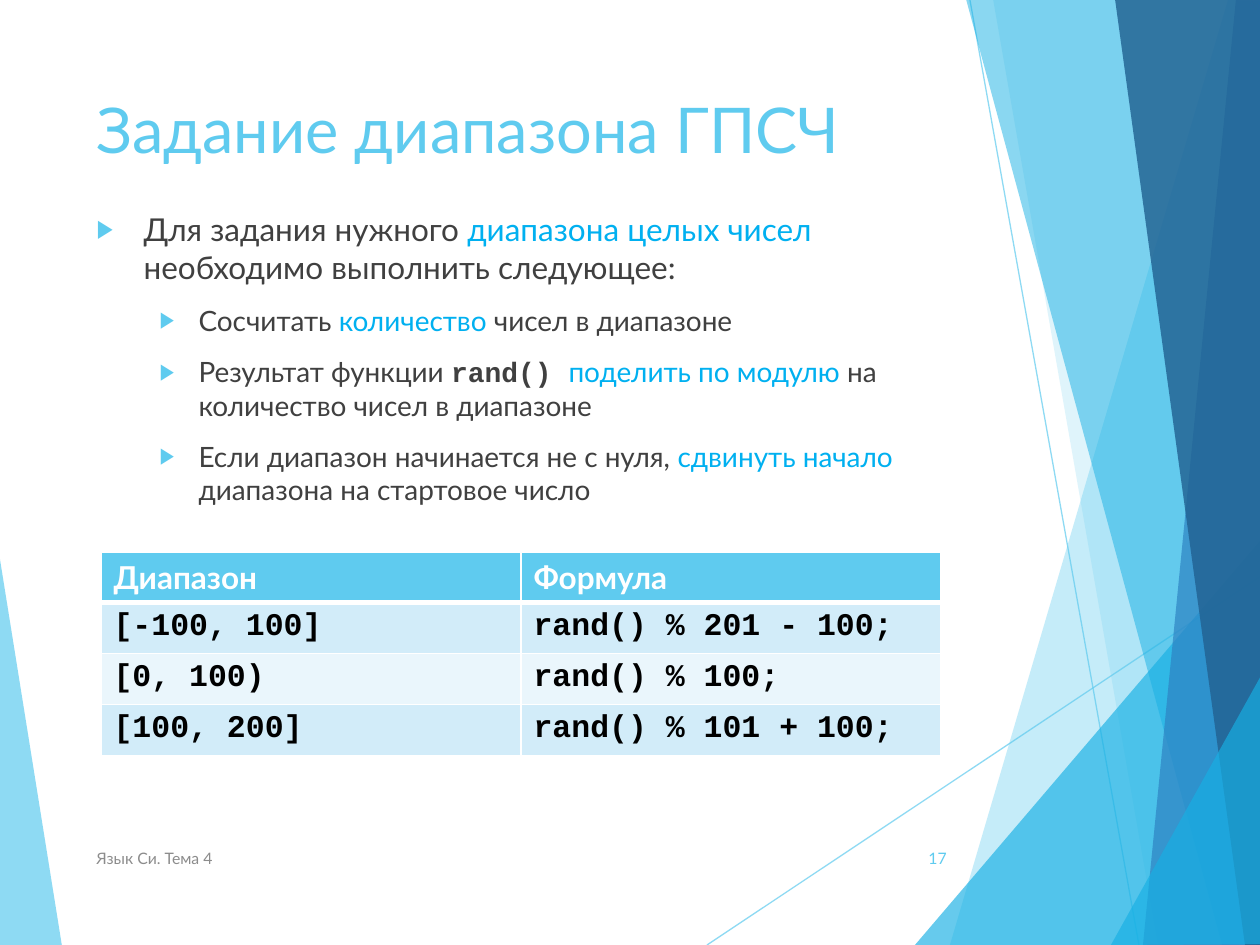
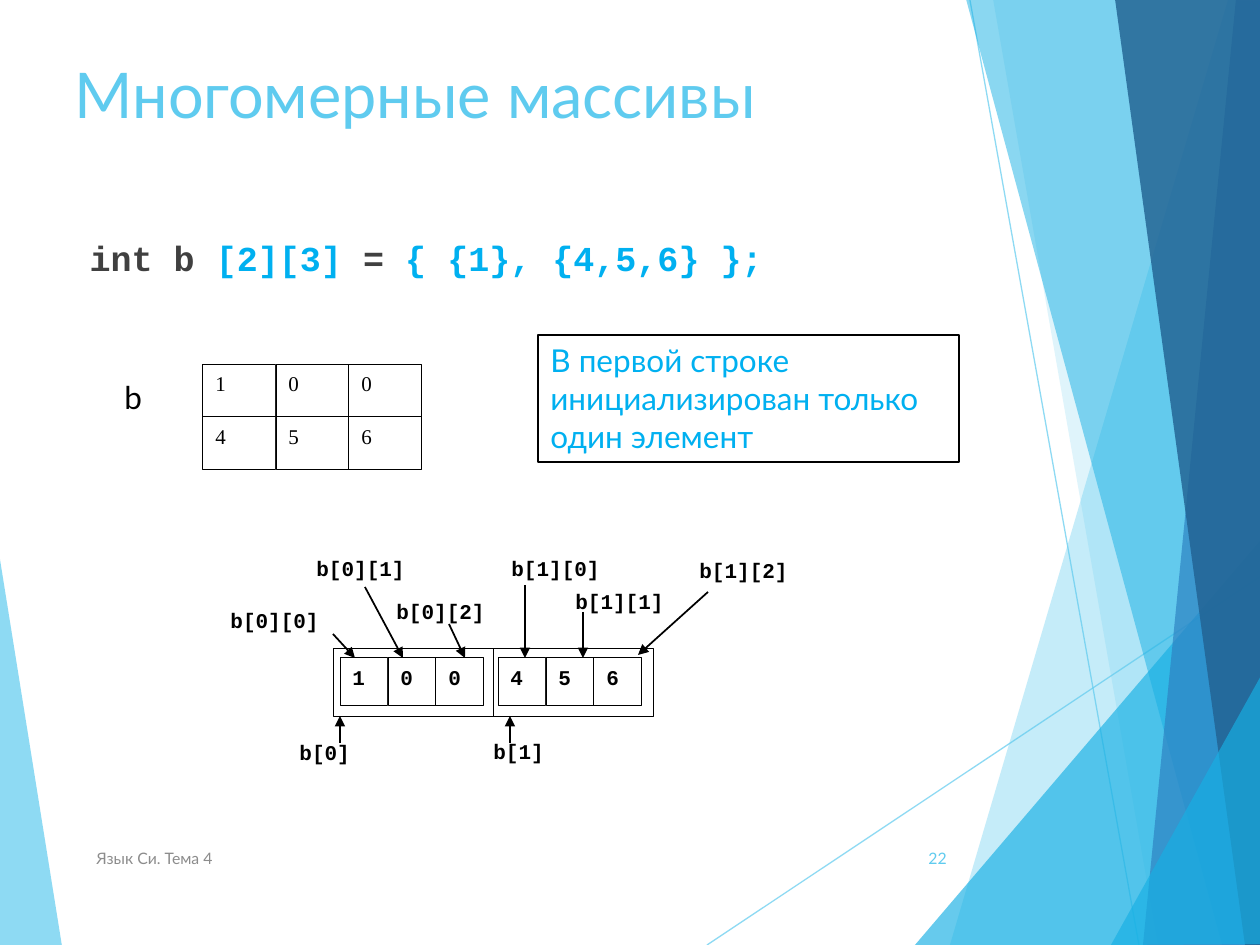
"""Build two C lecture slides: random number ranges and multidimensional arrays."""
import dataclasses

import lxml.etree
import pptx
import pptx.dml.color
import pptx.enum.shapes
import pptx.enum.text
import pptx.oxml.ns
import pptx.util

qn = pptx.oxml.ns.qn
ANCHOR = pptx.enum.text.MSO_ANCHOR
ALIGN = pptx.enum.text.PP_ALIGN
RECTANGLE = pptx.enum.shapes.MSO_SHAPE.RECTANGLE
STRAIGHT = pptx.enum.shapes.MSO_CONNECTOR.STRAIGHT
EMU_PER_PIXEL = 914400 / 126


@dataclasses.dataclass(frozen=True)
class Theme:
    """Colours, fonts and type sizes of the lecture."""
    sky: str = "5FCBEF"
    azure: str = "17B0E4"
    blue: str = "2E83C3"
    navy: str = "226292"
    accent: str = "00B0F0"
    body: str = "404040"
    muted: str = "8C8C8C"
    black: str = "000000"
    white: str = "FFFFFF"
    band_dark: str = "D2ECF9"
    band_light: str = "EAF6FC"
    sans: str = "Lato"
    code: str = "Courier New"
    serif: str = "Times New Roman"
    title_size: int = 36
    code_size: int = 20
    text_size: int = 18
    sub_size: int = 16
    label_size: int = 12
    footer_size: int = 9


THEME = Theme()
FOOTER = "Язык Си. Тема 4"
FACETS = [
    (THEME.sky, 70, [(-1, 553), (62, 946), (-1, 945)]),
    (THEME.sky, 36, [(1228, 0), (950, 945), (1262, 946), (1261, 1)]),
    (THEME.sky, 20, [(993, -1), (1158, 945), (1261, 945), (1261, -1)]),
    (THEME.azure, 66, [(915, 945), (1260, 541), (1261, 945)]),
    (THEME.azure, 50, [(966, -1), (1222, 945), (1261, 944), (1261, -1)]),
    (THEME.blue, 70, [(1236, -1), (1143, 945), (1261, 945), (1260, -1)]),
    (THEME.navy, 82, [(1115, -1), (1245, 945), (1262, 945), (1260, -1)]),
    (THEME.azure, 66, [(1111, 945), (1262, 674), (1262, 944)]),
]
RAYS = [(707, 945, 1261, 576), (970, 0, 1139, 945)]


def px(*lengths):
    """Turn picture pixels into EMU."""
    return [pptx.util.Emu(round(length * EMU_PER_PIXEL)) for length in lengths]


def rgb(code):
    """Turn a hex code into a colour."""
    return pptx.dml.color.RGBColor.from_string(code)


def apply(target, **values):
    """Set each format value on the target."""
    for name, value in values.items():
        setattr(target, name, value)


def style(size, color=THEME.body, name=THEME.sans, bold=False):
    """Describe the look of a run."""
    return {"size": pptx.util.Pt(size), "name": name, "bold": bold}, color


LABEL = style(THEME.label_size, THEME.black, THEME.code, True)


def write(paragraph, runs):
    """Add styled runs to a paragraph."""
    for text, (font_format, color) in runs:
        run = paragraph.add_run()
        run.text = text
        apply(run.font, **font_format)
        run.font.color.rgb = rgb(color)


def place(shape, box):
    """Move a placeholder to a pixel box and anchor its text at the top."""
    apply(shape, **dict(zip(("left", "top", "width", "height"), px(*box))))
    apply(shape.text_frame, word_wrap=True, vertical_anchor=ANCHOR.TOP,
          auto_size=pptx.enum.text.MSO_AUTO_SIZE.NONE)


def set_indent(paragraph, left, hanging, bullet=None):
    """Set the indents and the bullet of a paragraph."""
    properties = paragraph._p.get_or_add_pPr()
    margin, indent = px(left, -hanging)
    properties.set("marL", str(margin))
    properties.set("indent", str(indent))
    if bullet is None:
        lxml.etree.SubElement(properties, qn("a:buNone"))
        return
    color = lxml.etree.SubElement(properties, qn("a:buClr"))
    lxml.etree.SubElement(color, qn("a:srgbClr"), val=THEME.sky)
    lxml.etree.SubElement(properties, qn("a:buSzPct"), val="80000")
    lxml.etree.SubElement(properties, qn("a:buChar"), char=bullet)


def add_text(slide, box, text, look, anchor=ANCHOR.TOP, align=ALIGN.LEFT):
    """Add a text box with one paragraph."""
    label = slide.shapes.add_textbox(*px(*box))
    apply(label.text_frame, word_wrap=True, vertical_anchor=anchor)
    paragraph = label.text_frame.paragraphs[0]
    paragraph.alignment = align
    write(paragraph, [(text, look)])


def add_box(slide, box, line_width, fill=None, text=None, look=LABEL):
    """Add an outlined rectangle with optional fill and text."""
    cell = slide.shapes.add_shape(RECTANGLE, *px(*box))
    cell.shadow.inherit = False
    cell.line.color.rgb = rgb(THEME.black)
    cell.line.width = pptx.util.Pt(line_width)
    if fill:
        cell.fill.solid()
        cell.fill.fore_color.rgb = rgb(fill)
    else:
        cell.fill.background()
    if text:
        apply(cell.text_frame, word_wrap=True, vertical_anchor=ANCHOR.TOP)
        paragraph = cell.text_frame.paragraphs[0]
        paragraph.alignment = ALIGN.LEFT
        write(paragraph, [(text, look)])


def add_line(slide, ends, color, width, arrow=False):
    """Add a straight line, with an arrowhead at its end if asked."""
    line = slide.shapes.add_connector(STRAIGHT, *px(*ends))
    line.line.color.rgb = rgb(color)
    line.line.width = pptx.util.Pt(width)
    if arrow:
        outline = line.element.find(".//" + qn("a:ln"))
        lxml.etree.SubElement(outline, qn("a:tailEnd"), type="triangle")
    lxml.etree.SubElement(line.element.spPr, qn("a:effectLst"))
    return line


def add_facet(slide, color, points):
    """Add a filled polygon without outline."""
    builder = slide.shapes.build_freeform(*points[0], scale=EMU_PER_PIXEL)
    builder.add_line_segments(points[1:], close=True)
    facet = builder.convert_to_shape()
    facet.shadow.inherit = False
    facet.fill.solid()
    facet.fill.fore_color.rgb = rgb(color)
    facet.line.fill.background()
    return facet


def set_opacity(shape, percent):
    """Make the colours of a shape partly transparent."""
    for color in shape.element.iter(qn("a:srgbClr")):
        lxml.etree.SubElement(color, qn("a:alpha"), val=str(percent * 1000))


def decorate_layout(slide):
    """Draw the facets and rays once, and hand them to the slide's layout."""
    rays = [(add_line(slide, ends, THEME.sky, 0.75), 70) for ends in RAYS]
    facets = [(add_facet(slide, color, points), opacity)
              for color, opacity, points in FACETS]
    layout_tree = slide.slide_layout.shapes.element
    for number, (shape, opacity) in enumerate(facets[:1] + rays + facets[1:], 100):
        set_opacity(shape, opacity)
        shape.element.find(".//" + qn("p:cNvPr")).set("id", str(number))
        layout_tree.append(shape.element)


def add_page(deck, title, title_box, number):
    """Add a slide with its title, footer and number."""
    slide = deck.slides.add_slide(deck.slide_layouts[1])
    heading = slide.shapes.title
    place(heading, title_box)
    paragraph = heading.text_frame.paragraphs[0]
    paragraph.alignment = ALIGN.LEFT
    write(paragraph, [(title, style(THEME.title_size, THEME.sky))])
    add_text(slide, (84, 833, 638, 50), FOOTER,
             style(THEME.footer_size, THEME.muted), ANCHOR.MIDDLE)
    add_text(slide, (888, 833, 71, 50), str(number),
             style(THEME.footer_size, THEME.sky), ANCHOR.MIDDLE, ALIGN.RIGHT)
    return slide


def add_steps(slide, box, steps):
    """Fill the body with a lead item and its sub-items."""
    body = slide.placeholders[1]
    place(body, box)
    frame = body.text_frame
    for index, runs in enumerate(steps):
        paragraph = frame.add_paragraph() if index else frame.paragraphs[0]
        apply(paragraph, level=min(index, 1), space_before=pptx.util.Pt(10))
        set_indent(paragraph, *((102, 39) if index else (47, 47)), bullet="▶")
        write(paragraph, runs)


def set_borders(cell, row):
    """Give a cell white borders, heavy below the header."""
    properties = cell._tc.get_or_add_tcPr()
    widths = {"L": 1, "R": 1, "T": 3 if row == 1 else 1, "B": 1 if row else 3}
    for side, width in widths.items():
        edge = lxml.etree.SubElement(properties, qn("a:ln" + side),
                                     w=str(pptx.util.Pt(width)))
        paint = lxml.etree.SubElement(edge, qn("a:solidFill"))
        lxml.etree.SubElement(paint, qn("a:srgbClr"), val=THEME.white)


def add_formulas(slide, box, rows):
    """Add the table of ranges and formulas."""
    table = slide.shapes.add_table(len(rows), len(rows[0]), *px(*box)).table
    header = style(THEME.text_size, THEME.white, bold=True)
    code = style(THEME.text_size, THEME.black, THEME.code, True)
    for row, texts in enumerate(rows):
        table.rows[row].height = px(51 if row else 42)[0]
        band = THEME.band_dark if row % 2 else THEME.band_light
        for column, text in enumerate(texts):
            cell = table.cell(row, column)
            set_borders(cell, row)
            cell.fill.solid()
            cell.fill.fore_color.rgb = rgb(band if row else THEME.sky)
            write(cell.text_frame.paragraphs[0], [(text, code if row else header)])


def add_cells(slide, left, top, width, height, values, look):
    """Add a row of touching array cells."""
    for column, value in enumerate(values):
        add_box(slide, (left + column * width, top, width, height), 0.5,
                THEME.white, value, look)


def build_ranges(deck):
    """Build the slide about the range of the random generator."""
    slide = add_page(deck, "Задание диапазона ГПСЧ", (84, 84, 874, 181), 17)
    decorate_layout(slide)
    lead, lead_key = style(THEME.text_size), style(THEME.text_size, THEME.accent)
    sub, key = style(THEME.sub_size), style(THEME.sub_size, THEME.accent)
    code = style(THEME.sub_size, name=THEME.code, bold=True)
    add_steps(slide, (84, 204, 874, 367), [
        [("Для задания нужного ", lead), ("диапазона целых чисел ", lead_key),
         ("необходимо выполнить следующее:", lead)],
        [("Сосчитать ", sub), ("количество", key), (" чисел в диапазоне", sub)],
        [("Результат функции ", sub), ("rand() ", code),
         ("поделить по модулю ", key), ("на количество чисел в диапазоне", sub)],
        [("Если диапазон начинается не с нуля, ", sub), ("сдвинуть начало ", key),
         ("диапазона на стартовое число", sub)],
    ])
    add_formulas(slide, (101, 552, 840, 195), [
        ("Диапазон", "Формула"),
        ("[-100, 100]", "rand() % 201 - 100;"),
        ("[0, 100)", "rand() % 100;"),
        ("[100, 200]", "rand() % 101 + 100;"),
    ])


def build_arrays(deck):
    """Build the slide about two-dimensional arrays in memory."""
    slide = add_page(deck, "Многомерные массивы", (62, 49, 874, 181), 22)
    declaration = slide.placeholders[1]
    place(declaration, (62, 209, 766, 118))
    paragraph = declaration.text_frame.paragraphs[0]
    apply(paragraph, line_spacing=1.5, space_before=pptx.util.Pt(10))
    set_indent(paragraph, 15, 0)
    plain = style(THEME.code_size, THEME.body, THEME.code, True)
    key = style(THEME.code_size, THEME.accent, THEME.code, True)
    write(paragraph, [("int b ", plain), ("[2][3]", key), (" = ", plain),
                      ("{ {1}, {4,5,6} };", key)])

    matrix_look = style(THEME.label_size, THEME.black, THEME.serif)
    for row, values in enumerate(("100", "456")):
        add_cells(slide, 203, 364 + row * 53, 73, 53, values, matrix_look)
        add_cells(slide, 340 + row * 158, 658, 48, 48, values, LABEL)
        add_box(slide, (333 + row * 160, 648, 160, 68), 0.25)

    pointers = [
        ("b[0]", (287, 733), (340, 743, 340, 716)),
        ("b[1]", (481, 732), (510, 743, 510, 716)),
        ("b[0][0]", (218, 601), (333, 634, 355, 658)),
        ("b[0][1]", (304, 549), (365, 587, 403, 658)),
        ("b[0][2]", (384, 592), (449, 624, 465, 658)),
        ("b[1][0]", (499, 549), (525, 585, 525, 658)),
        ("b[1][1]", (563, 582), (583, 612, 583, 658)),
        ("b[1][2]", (687, 551), (708, 592, 638, 655)),
    ]
    for name, corner, ends in pointers:
        add_text(slide, (*corner, 170, 52), name, LABEL)
        add_line(slide, ends, THEME.black, 1, arrow=True)

    add_text(slide, (112, 372, 110, 50), "b", style(THEME.text_size, THEME.black))
    add_box(slide, (538, 335, 421, 127), 0.75,
            text="В первой строке инициализирован только один элемент",
            look=style(THEME.text_size, THEME.accent))


def main():
    """Build and save the lecture slides."""
    deck = pptx.Presentation()
    apply(deck, **dict(zip(("slide_width", "slide_height"), px(1260, 945))))
    build_ranges(deck)
    build_arrays(deck)
    deck.save("out.pptx")


main()
